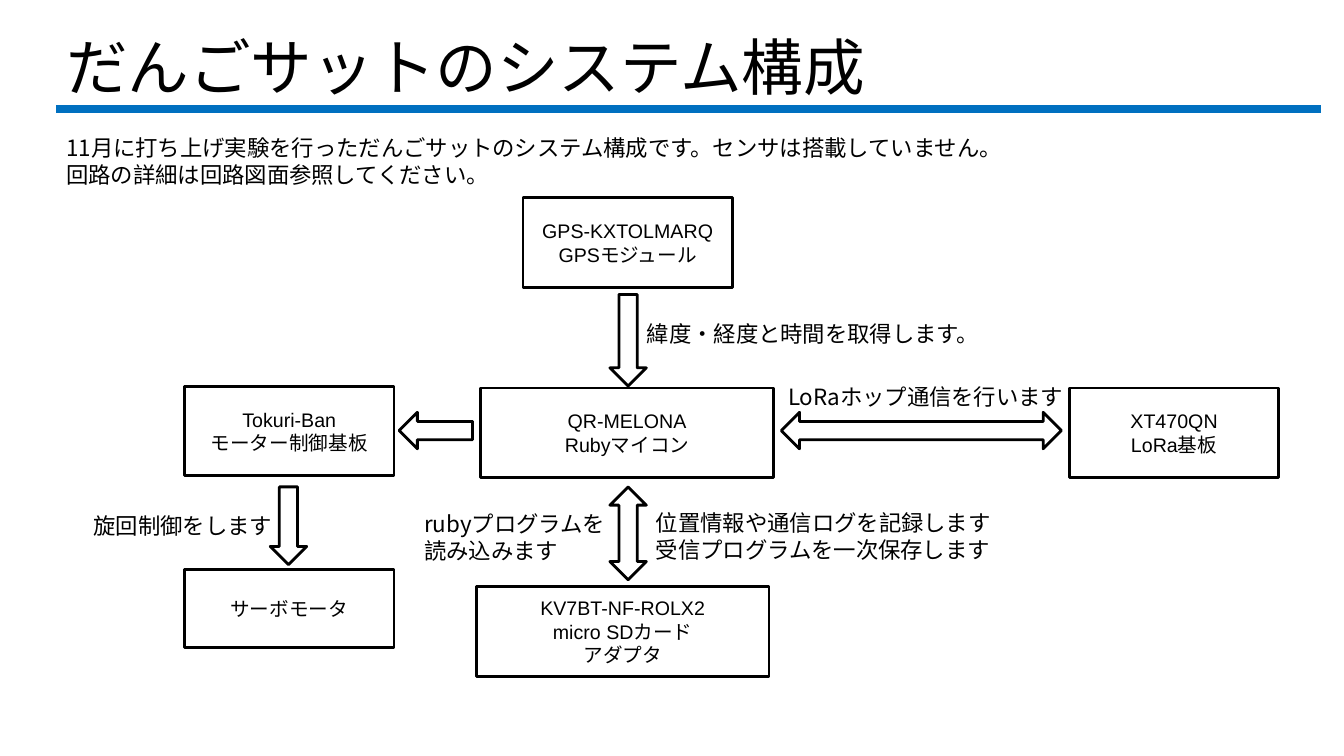
from lxml.etree import SubElement
from pptx import Presentation
from pptx.dml.color import RGBColor
from pptx.enum.shapes import MSO_CONNECTOR as Connector, MSO_SHAPE as Shape
from pptx.enum.text import MSO_ANCHOR as Anchor, PP_ALIGN as Align
from pptx.oxml.ns import qn
from pptx.util import Cm, Pt

COLORS = {"ink": "000000", "paper": "FFFFFF", "rule": "0070C0"}
JAPANESE = "Noto Sans CJK JP"
FORMATS = {
    "title": {"name": JAPANESE, "size": Pt(44)},
    "note": {"name": JAPANESE, "size": Pt(16)},
    "module": {"name": "Arial", "size": Pt(14)},
}
LEFT = 1.42
MODULE_WIDTH, WIDE_WIDTH, MODULE_HEIGHT = 5.28, 7.37, 2.26
ARROW_BREADTH = 0.92

MODULES = [
    (13.18, 4.98, MODULE_WIDTH, MODULE_HEIGHT, ["GPS-KXTOLMARQ", "GPSモジュール"]),
    (12.12, 9.78, WIDE_WIDTH, MODULE_HEIGHT, ["QR-MELONA", "Rubyマイコン"]),
    (12.01, 14.78, WIDE_WIDTH, MODULE_HEIGHT,
     ["KV7BT-NF-ROLX2", "micro SDカード", "アダプタ"]),
    (26.95, 9.78, MODULE_WIDTH, MODULE_HEIGHT, ["XT470QN", "LoRa基板"]),
    (4.65, 9.73, MODULE_WIDTH, MODULE_HEIGHT, ["Tokuri-Ban", "モーター制御基板"]),
    (4.65, 14.35, MODULE_WIDTH, 1.96, ["サーボモータ"]),
]
ARROWS = [
    (Shape.DOWN_ARROW, 15.37, 7.42, ARROW_BREADTH, 2.31),
    (Shape.DOWN_ARROW, 6.81, 12.27, ARROW_BREADTH, 1.96),
    (Shape.UP_DOWN_ARROW, 15.37, 12.27, ARROW_BREADTH, 2.34),
    (Shape.LEFT_ARROW, 10.06, 10.39, 1.85, ARROW_BREADTH),
    (Shape.LEFT_RIGHT_ARROW, 19.69, 10.39, 7.06, ARROW_BREADTH),
]
NOTES = [
    (LEFT, 3.25, 27.89, 1.63,
     ["11月に打ち上げ実験を行っただんごサットのシステム構成です。センサは搭載していません。",
      "回路の詳細は回路図面参照してください。"]),
    (16.05, 7.95, 10.08, 0.94, ["緯度・経度と時間を取得します。"]),
    (16.28, 12.7, 10.08, 1.63,
     ["位置情報や通信ログを記録します", "受信プログラムを一次保存します"]),
    (10.44, 12.73, 5.28, 1.63, ["rubyプログラムを", "読み込みます"]),
    (19.61, 9.53, 7.98, 0.94, ["LoRaホップ通信を行います"]),
    (2.11, 12.78, 5.28, 0.94, ["旋回制御をします"]),
]


def color(name):
    return RGBColor.from_string(COLORS[name])


class DiagramPage:
    """Holds the text formats and the slide being drawn."""

    def __init__(self, page, formats):
        self.page = page
        self.formats = formats

    def fill_text(self, box, lines, style, align=Align.LEFT, anchor=Anchor.TOP, spacing=1.0):
        frame = box.text_frame
        frame.word_wrap = True
        frame.vertical_anchor = anchor
        for index, line in enumerate(lines):
            para = frame.paragraphs[0] if index == 0 else frame.add_paragraph()
            para.alignment = align
            para.line_spacing = spacing
            span = para.add_run()
            span.text = line
            for attribute, value in self.formats[style].items():
                setattr(span.font, attribute, value)
            span.font.color.rgb = color("ink")
            east_asian = SubElement(span.font._element, qn("a:ea"))
            east_asian.set("typeface", JAPANESE)

    def text(self, left, top, width, height, lines, style="note", **layout):
        box = self.page.shapes.add_textbox(Cm(left), Cm(top), Cm(width), Cm(height))
        self.fill_text(box, lines, style, **layout)

    def outlined(self, kind, left, top, width, height):
        """Add a white preset shape with a black outline."""
        shape = self.page.shapes.add_shape(kind, Cm(left), Cm(top), Cm(width), Cm(height))
        shape.shadow.inherit = False
        shape.fill.solid()
        shape.fill.fore_color.rgb = color("paper")
        shape.line.color.rgb = color("ink")
        shape.line.width = Pt(2)
        return shape

    def module(self, left, top, width, height, lines):
        box = self.outlined(Shape.RECTANGLE, left, top, width, height)
        self.fill_text(box, lines, "module", Align.CENTER, Anchor.MIDDLE)

    def rule(self, left, right, top):
        line = self.page.shapes.add_connector(
            Connector.STRAIGHT, Cm(left), Cm(top), Cm(right), Cm(top))
        line.line.color.rgb = color("rule")
        line.line.width = Pt(6)
        SubElement(line._element.spPr, qn("a:effectLst"))


def main():
    deck = Presentation()
    deck.slide_width, deck.slide_height = Cm(33.87), Cm(19.05)
    diagram = DiagramPage(deck.slides.add_slide(deck.slide_layouts[6]), FORMATS)
    diagram.text(LEFT, -0.05, 29.21, 3.68, ["だんごサットのシステム構成"], "title",
                 anchor=Anchor.MIDDLE, spacing=0.9)
    diagram.rule(LEFT, 33.3, 2.74)
    for module in MODULES:
        diagram.module(*module)
    for arrow in ARROWS:
        diagram.outlined(*arrow)
    for note in NOTES:
        diagram.text(*note)
    deck.save("out.pptx")


if __name__ == "__main__":
    main()
